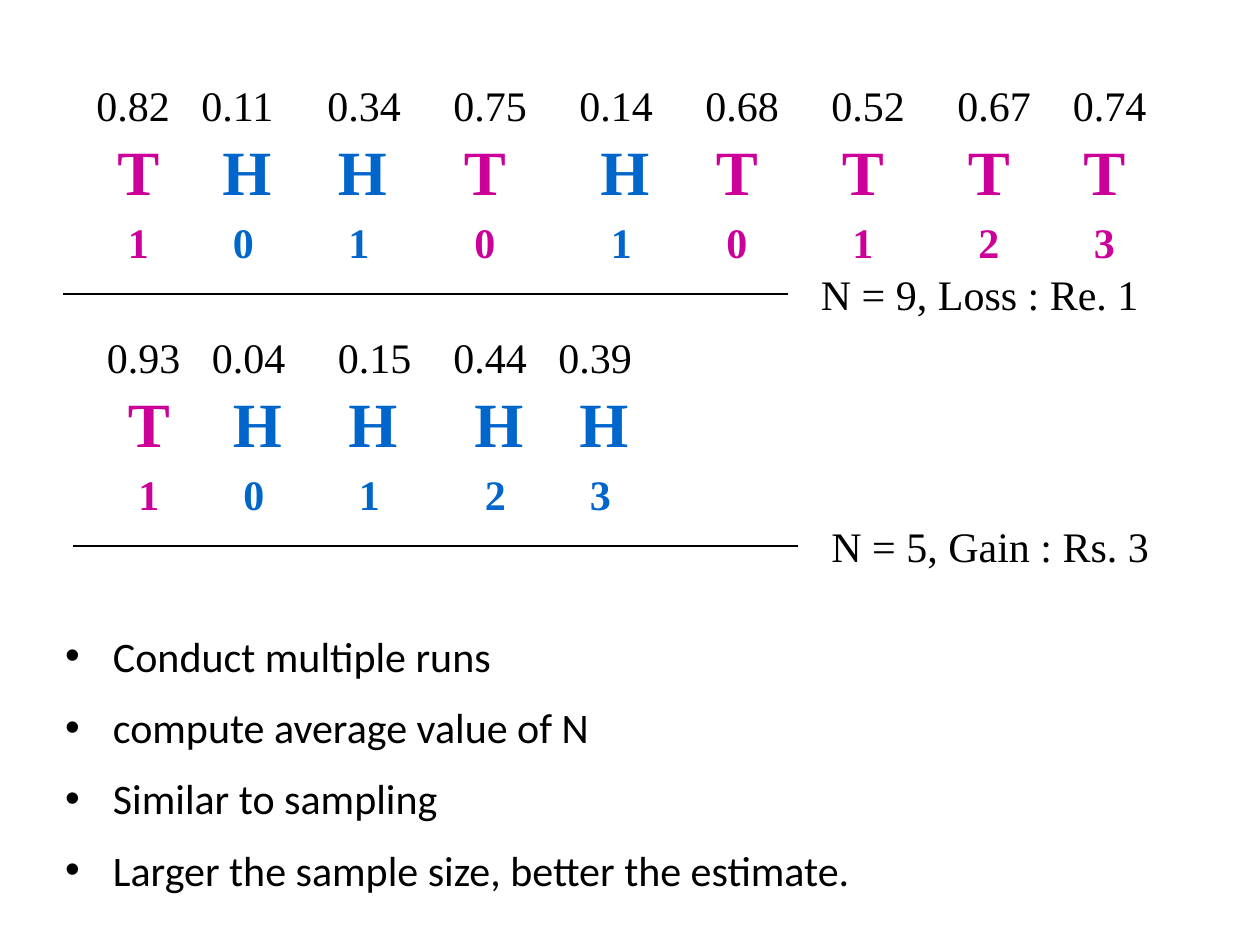
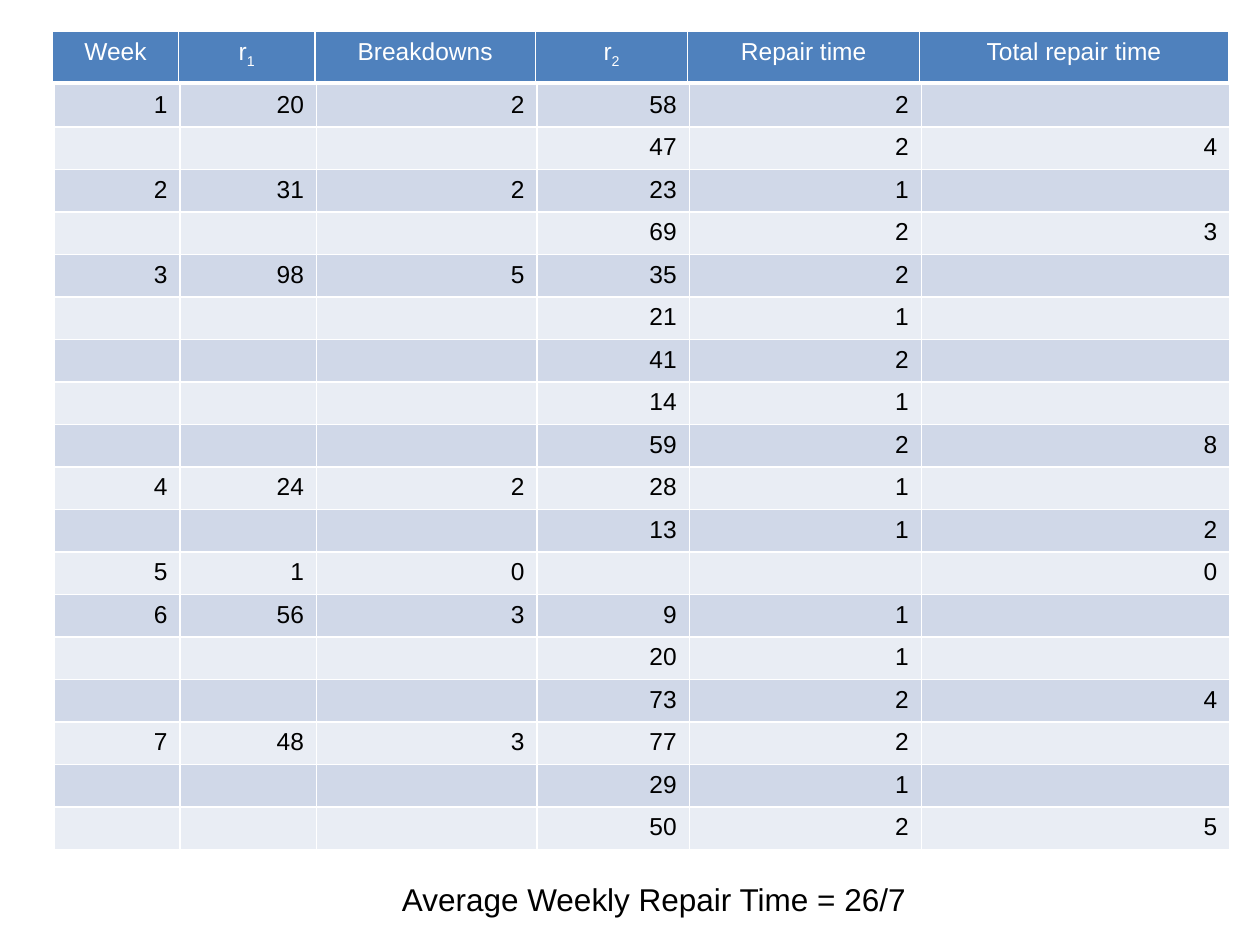
from lxml.etree import SubElement
from pptx import Presentation
from pptx.dml.color import RGBColor
from pptx.enum.shapes import MSO_CONNECTOR
from pptx.enum.text import MSO_ANCHOR, MSO_AUTO_SIZE, PP_ALIGN
from pptx.oxml.ns import qn
from pptx.util import Inches, Pt

COLORS = {
    "text": "000000", "white": "FFFFFF", "tail": "CC0099", "head": "0066CC",
    "header": "4F81BD", "band": "D0D8E8", "light": "E9EDF4",
}
SERIF, SANS, BODY = "Times New Roman", "Arial", "Calibri"

# Each toss: column of the draw, draw, column of the face, face, running count
LOSS_RUN = [
    (8, "0.82", 10, "T", "1"), (18, "0.11", 20, "H", "0"),
    (30, "0.34", 31, "H", "1"), (42, "0.75", 43, "T", "0"),
    (54, "0.14", 56, "H", "1"), (66, "0.68", 67, "T", "0"),
    (78, "0.52", 79, "T", "1"), (90, "0.67", 91, "T", "2"),
    (101, "0.74", 102, "T", "3"),
]
GAIN_RUN = [
    (9, "0.93", 11, "T", "1"), (19, "0.04", 21, "H", "0"),
    (31, "0.15", 32, "H", "1"), (42, "0.44", 44, "H", "2"),
    (52, "0.39", 54, "H", "3"),
]
NOTES = [
    "Conduct multiple runs", "compute average value of N",
    "Similar to sampling", "Larger the sample size, better the estimate.",
]

# Table columns: heading with optional subscript, width in grid columns
HEADINGS = [("Week", ""), ("r", "1"), ("Breakdowns", ""), ("r", "2"),
            ("Repair time", ""), ("Total repair time", "")]
WIDTHS = [12, 13, 21, 14.5, 22.1, 29.4]

# Each week: r1, list of (r2, repair time), total repair time
WEEKS = [
    (20, [(58, 2), (47, 2)], 4),
    (31, [(23, 1), (69, 2)], 3),
    (98, [(35, 2), (21, 1), (41, 2), (14, 1), (59, 2)], 8),
    (24, [(28, 1), (13, 1)], 2),
    (1, [], 0),
    (56, [(9, 1), (20, 1), (73, 2)], 4),
    (48, [(77, 2), (29, 1), (50, 2)], 5),
]


def grid(n):
    """Length of n grid steps, twelve to the inch."""
    return Inches(n / 12)


def box(*steps):
    return [grid(n) for n in steps]


def rgb(name):
    return RGBColor.from_string(COLORS[name])


def add_run(p, text, size, font, color, bold=False):
    r = p.add_run()
    r.text = text
    r.font.size, r.font.name, r.font.bold = Pt(size), font, bold
    r.font.color.rgb = rgb(color)
    return r


def add_label(shapes, area, text, size=24, font=SERIF, color="text",
              bold=False, wrap=True):
    tf = shapes.add_textbox(*box(*area)).text_frame
    tf.word_wrap = wrap
    tf.auto_size = MSO_AUTO_SIZE.SHAPE_TO_FIT_TEXT
    add_run(tf.paragraphs[0], text, size, font, color, bold)


def add_rule(slide, col, row, width):
    line = slide.shapes.add_connector(
        MSO_CONNECTOR.STRAIGHT, *box(col, row, col + width, row))
    line.line.color.rgb = rgb("text")
    line.line.width = Pt(0.75)
    SubElement(line._element.spPr, qn("a:effectLst"))


def add_toss_run(slide, tosses, row, rule_col, result):
    """Draws, faces and counts in three rows, closed by a rule and a result."""
    for draw_col, draw, col, face, count in tosses:
        add_label(slide.shapes, (draw_col, row, 10, 6), draw)
        color, wide, narrow = ("tail", 6, 4) if face == "T" else ("head", 7, 6)
        toss = slide.shapes.add_group_shape().shapes
        add_label(toss, (col, row + 5, wide, 8.4), face, 36, color=color, bold=True)
        add_label(toss, (col + 1, row + 13, narrow, 6), count, color=color, bold=True)
    add_rule(slide, rule_col, row + 21, 69)
    add_label(slide.shapes, (rule_col + 71, row + 18, 38, 6), result)


def fill_bullets(sp, area, items):
    sp.left, sp.top, sp.width, sp.height = box(*area)
    tf = sp.text_frame
    tf.auto_size = MSO_AUTO_SIZE.NONE
    tf.vertical_anchor = MSO_ANCHOR.TOP
    for i, item in enumerate(items):
        p = tf.paragraphs[0] if i == 0 else tf.add_paragraph()
        pPr = p._p.get_or_add_pPr()
        pPr.set("marL", str(Inches(0.38)))
        pPr.set("indent", str(-Inches(0.38)))
        p.space_before = Pt(12 if i else 0)
        SubElement(pPr, qn("a:buFont"), typeface=SANS)
        SubElement(pPr, qn("a:buChar"), char="•")
        add_run(p, item, 24, BODY, "text")


def style_cell(cell, fill, align, bottom=1):
    tcPr = cell._tc.get_or_add_tcPr()
    for side, width in (("L", 1), ("R", 1), ("T", 1), ("B", bottom)):
        ln = SubElement(tcPr, qn(f"a:ln{side}"), w=str(Pt(width)))
        solid = SubElement(ln, qn("a:solidFill"))
        SubElement(solid, qn("a:srgbClr"), val=COLORS["white"])
    cell.fill.solid()
    cell.fill.fore_color.rgb = rgb(fill)
    p = cell.text_frame.paragraphs[0]
    p.alignment = align
    return p


def add_grid_table(slide, col, row, rows, row_height):
    area = box(col, row, sum(WIDTHS), rows * row_height)
    table = slide.shapes.add_table(rows, len(WIDTHS), *area).table
    table.first_row = table.horz_banding = False
    for column, width in zip(table.columns, WIDTHS):
        column.width = grid(width)
    return table


def add_heading_table(slide):
    table = add_grid_table(slide, 5, 3, 1, 4.92)
    for cell, (text, sub) in zip(table.rows[0].cells, HEADINGS):
        p = style_cell(cell, "header", PP_ALIGN.CENTER, bottom=3)
        add_run(p, text, 14, SANS, "white")
        if sub:
            r = add_run(p, sub, 14, SANS, "white")
            r.font._element.set("baseline", "-25000")


def repair_rows():
    """One row per breakdown; the week opens the first, the total ends the last."""
    rows = []
    for week, (r1, repairs, total) in enumerate(WEEKS, 1):
        lines = [["", "", "", r2, time, ""] for r2, time in repairs or [("", "")]]
        lines[0][:3] = week, r1, len(repairs)
        lines[-1][5] = total
        rows += lines
    return rows


def add_repair_table(slide):
    rows = repair_rows()
    table = add_grid_table(slide, 5.15, 8.05, len(rows), 4.05)
    for i, values in enumerate(rows):
        for cell, value in zip(table.rows[i].cells, values):
            p = style_cell(cell, "light" if i % 2 else "band", PP_ALIGN.RIGHT)
            if value == "":
                p._p.get_or_add_endParaRPr().set("sz", "1400")
            else:
                add_run(p, str(value), 14, SANS, "text")


def main():
    prs = Presentation()
    prs.slide_width, prs.slide_height = Inches(10), Inches(7.5)

    # Coin toss runs
    s = prs.slides.add_slide(prs.slide_layouts[1])
    title = s.shapes.title._element
    title.getparent().remove(title)
    add_toss_run(s, LOSS_RUN, 7, 6, "N = 9, Loss : Re. 1")
    add_toss_run(s, GAIN_RUN, 31, 7, "N = 5, Gain : Rs. 3")
    fill_bullets(s.placeholders[1], (5, 59.4, 111, 27.6), NOTES)

    # Weekly repair times
    s = prs.slides.add_slide(prs.slide_layouts[6])
    add_heading_table(s)
    add_repair_table(s)
    add_label(s.shapes, (37.1, 83.2, 50.9, 4.8),
              "Average Weekly Repair Time = 26/7", 18, SANS, wrap=False)

    prs.save("out.pptx")


if __name__ == "__main__":
    main()
